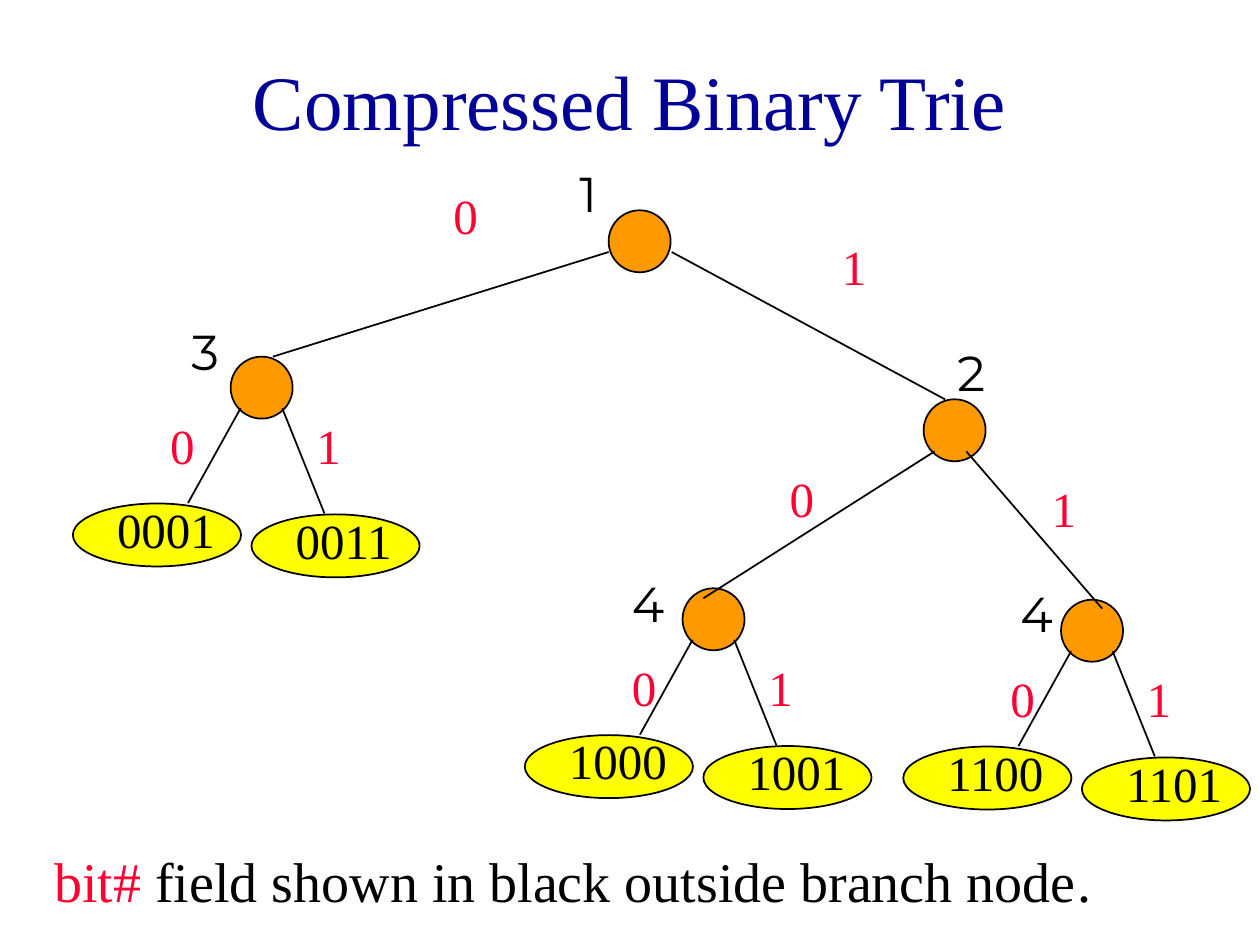
from pptx import Presentation
from pptx.dml.color import RGBColor
from pptx.enum.shapes import MSO_CONNECTOR, MSO_SHAPE
from pptx.enum.text import MSO_ANCHOR, PP_ALIGN
from pptx.oxml.ns import qn
from pptx.util import Cm, Pt
from lxml.etree import SubElement

BLACK = RGBColor(0x00, 0x00, 0x00)
WHITE = RGBColor(0xFF, 0xFF, 0xFF)
NAVY = RGBColor(0x00, 0x00, 0x99)
RED = RGBColor(0xFF, 0x00, 0x33)
INK = RGBColor(0x01, 0x00, 0x00)
ORANGE = RGBColor(0xFF, 0x99, 0x00)
YELLOW = RGBColor(0xFF, 0xFF, 0x00)
SERIF, SANS = "Times New Roman", "Montserrat"

NODE = 1.25                      # branch node diameter
LEAF_W, LEAF_H = 3.39, 1.27
TEXT_H = 1.45                    # height of a one-line label


def add_text(s, box, runs, size=28, font=SERIF):
    """Place one line of (text, colour) runs in a box."""
    tb = s.shapes.add_textbox(*map(Cm, box))
    tf = tb.text_frame
    tf.word_wrap = True
    p = tf.paragraphs[0]
    p.font.size, p.font.name = Pt(size), font
    for text, color in runs:
        r = p.add_run()
        r.text = text
        r.font.color.rgb = color
    return tb


def add_ellipse(s, x, y, w, h, fill):
    sp = s.shapes.add_shape(MSO_SHAPE.OVAL, Cm(x), Cm(y), Cm(w), Cm(h))
    sp.shadow.inherit = False
    sp.fill.solid()
    sp.fill.fore_color.rgb = fill
    sp.line.color.rgb = BLACK
    sp.line.width = Pt(1)


def add_edge(s, x1, y1, x2, y2):
    line = s.shapes.add_connector(MSO_CONNECTOR.STRAIGHT, Cm(x1), Cm(y1), Cm(x2), Cm(y2))
    line.line.color.rgb = BLACK
    line.line.width = Pt(1)
    SubElement(line._element.spPr, qn("a:effectLst"))


def add_digit(s, x, y, digit):
    add_text(s, (x, y, 1.27, TEXT_H), [(digit, RED)])


def add_branch(s, x, y, bit, dx, dy):
    """Branch node at (x, y), with its bit number offset by (dx, dy)."""
    add_ellipse(s, x, y, NODE, NODE, ORANGE)
    add_text(s, (x + dx, y + dy, 1.7, TEXT_H), [(bit, INK)], font=SANS)


def add_leaf(s, x, y, key):
    add_ellipse(s, x, y, LEAF_W, LEAF_H, YELLOW)
    add_text(s, (x + 0.64, y - 0.21, 2.97, TEXT_H), [(key, BLACK)])


def add_leaf_pair(s, x, y, keys, digit_dx, digit_dy):
    """Two leaves hanging from the branch node at (x, y)."""
    add_edge(s, x + 0.2, y + 1.04, x - 0.86, y + 2.95)
    add_edge(s, x + 1.04, y + 1.04, x + 1.89, y + 3.16)
    add_leaf(s, x - 3.18, y + 2.96, keys[0])
    add_leaf(s, x + 0.42, y + 3.18, keys[1])
    add_digit(s, x + digit_dx, y + digit_dy, "0")
    add_digit(s, x + 1.48, y + digit_dy, "1")


def add_title(s, box):
    tb = add_text(s, box, [("Compressed Binary Trie", NAVY)], size=44)
    tb.text_frame.vertical_anchor = MSO_ANCHOR.MIDDLE
    tb.text_frame.paragraphs[0].alignment = PP_ALIGN.CENTER


def add_trie(s, left, top):
    """Whole trie, placed relative to the corner (left, top)."""
    # Branch nodes: x, y, bit number and its offset
    for x, y, bit, dx, dy in [
        (12.27, 1.24, "1", -0.84, -1.07),
        (4.65, 4.19, "3", -1.04, -0.84),
        (18.62, 5.05, "2", 0.43, -1.27),
        (13.76, 8.86, "4", -1.27, -0.43),
        (21.39, 9.09, "4", -1.07, -0.46),
    ]:
        add_branch(s, left + x, top + y, bit, dx, dy)

    # Edges between branch nodes: ends, digit and its place
    for x1, y1, x2, y2, digit, dx, dy in [
        (12.27, 2.08, 5.5, 4.19, "0", 8.89, 0.61),
        (13.54, 2.08, 19.05, 5.05, "1", 16.72, 1.65),
        (18.84, 6.1, 14.18, 9.06, "0", 15.67, 6.32),
        (19.48, 6.1, 22.22, 9.27, "1", 20.95, 6.52),
    ]:
        add_edge(s, left + x1, top + y1, left + x2, top + y2)
        add_digit(s, left + dx, top + dy, digit)

    # Leaves
    for x, y, keys, dx, dy in [
        (4.65, 4.19, ("0001", "0011"), -1.47, 1.07),
        (13.76, 8.86, ("1000", "1001"), -1.27, 1.27),
        (21.39, 9.09, ("1100", "1101"), -1.27, 1.27),
    ]:
        add_leaf_pair(s, left + x, top + y, keys, dx, dy)


def add_caption(s, box):
    tb = add_text(s, box, [
        ("bit# ", RED),
        ("field shown in black outside branch node", INK),
        (".", BLACK),
    ], size=32)
    tb.fill.solid()
    tb.fill.fore_color.rgb = WHITE


def main():
    prs = Presentation()
    prs.slide_width, prs.slide_height = Cm(25.4), Cm(19.05)
    s = prs.slides.add_slide(prs.slide_layouts[6])
    add_title(s, (1.9, 0.43, 21.59, 3.18))
    add_trie(s, 0, 3)
    add_caption(s, (0.84, 16.94, 21.59, 1.63))
    prs.save("out.pptx")


if __name__ == "__main__":
    main()
